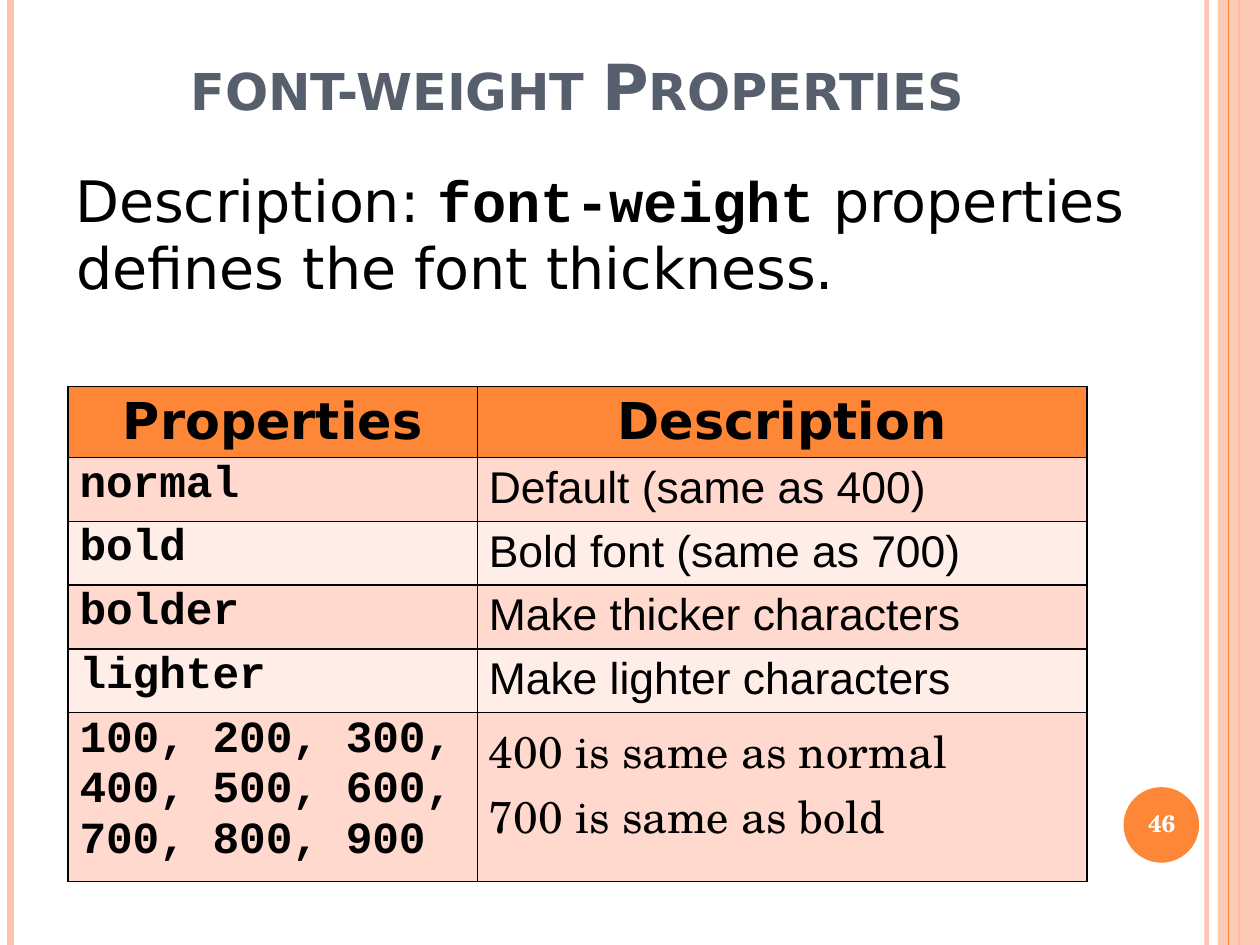
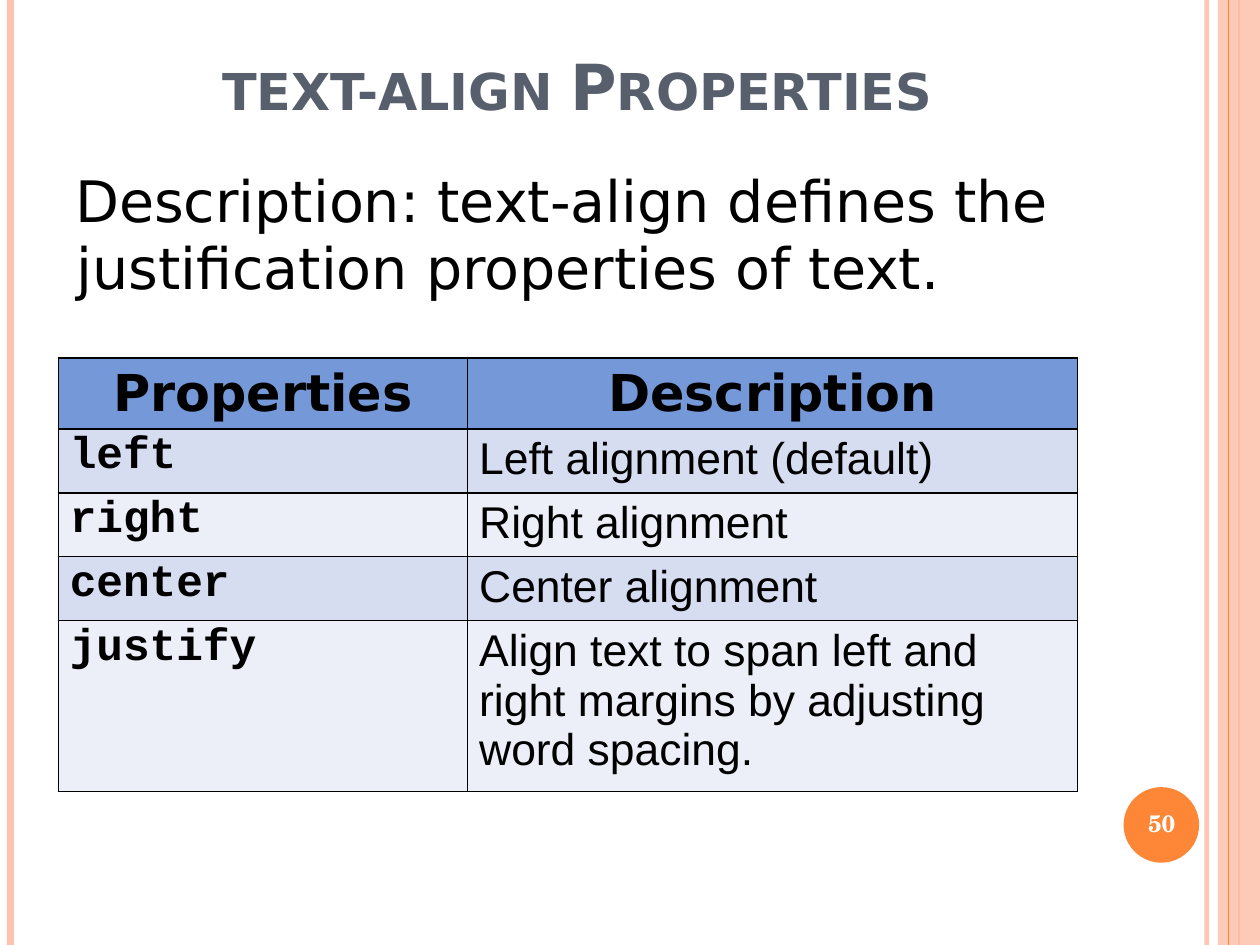
from lxml import etree
from pptx import Presentation
from pptx.dml.color import RGBColor
from pptx.enum.shapes import MSO_CONNECTOR, MSO_SHAPE
from pptx.enum.text import MSO_ANCHOR, PP_ALIGN
from pptx.oxml.ns import qn
from pptx.util import Pt

STRAIGHT = MSO_CONNECTOR.STRAIGHT
RECTANGLE, OVAL = MSO_SHAPE.RECTANGLE, MSO_SHAPE.OVAL
TOP, MIDDLE, BOTTOM = MSO_ANCHOR.TOP, MSO_ANCHOR.MIDDLE, MSO_ANCHOR.BOTTOM
LEFT, CENTER = PP_ALIGN.LEFT, PP_ALIGN.CENTER

ORANGE = RGBColor(0xFE, 0x86, 0x37)
PEACH = RGBColor(0xFE, 0xC3, 0xAE)
SLATE = RGBColor(0x57, 0x5F, 0x6D)
BLACK = RGBColor(0, 0, 0)
WHITE = RGBColor(0xFF, 0xFF, 0xFF)
# Header, odd row, even row
ORANGE_ROWS = (ORANGE, RGBColor(0xFF, 0xD9, 0xCE), RGBColor(0xFF, 0xED, 0xE8))
BLUE_ROWS = (RGBColor(0x75, 0x98, 0xD9), RGBColor(0xD6, 0xDD, 0xF1),
             RGBColor(0xEC, 0xEF, 0xF8))

SANS, MONO, ARIAL, SERIF = "DejaVu Sans", "Courier New", "Arial", "TeX Gyre Schola"

WIDTH, HEIGHT = 793.75, 595.25
COLUMNS = (257.9, 384)
HEADER_HEIGHT, ROW_HEIGHT = 44.7, 38.9
HEADINGS = ("Properties", "Description")
# Top and bottom cell margins
HEADER_MARGINS, VALUE_MARGINS, DESCRIPTION_MARGINS = (3.6, 2), (1.8, 3.6), (3.6, 3)

# x, width, colour, opacity in percent
LINES_BELOW_BAND = [(760.3, 3, PEACH, 93), (6.5, 4.5, PEACH, 100), (780.5, 1.5, ORANGE, 100)]
LINE_ABOVE_BAND = (774, 0.75, ORANGE, 100)

SLIDES = [
    {
        "title": "font-weight Properties",
        "intro": [("Description: ", SANS, False), ("font-weight", MONO, True),
                  (" properties defines the font thickness.", SANS, False)],
        "number": "46",
        "table_at": (42.9, 243.4),
        "colors": ORANGE_ROWS,
        "last_height": 102.6,
        "rows": [
            ("normal", "Default (same as 400)", ARIAL),
            ("bold", "Bold font (same as 700)", ARIAL),
            ("bolder", "Make thicker characters", ARIAL),
            ("lighter", "Make lighter characters", ARIAL),
            ("100, 200, 300, 400, 500, 600, 700, 800, 900",
             "400 is same as normal\n700 is same as bold", SERIF),
        ],
    },
    {
        "title": "text-align Properties",
        "intro": [("Description: text-align defines the justification properties of text.",
                   SANS, False)],
        "number": "50",
        "table_at": (36.8, 225.6),
        "colors": BLUE_ROWS,
        "last_height": 100.8,
        "rows": [
            ("left", "Left alignment (default)", ARIAL),
            ("right", "Right alignment", ARIAL),
            ("center", "Center alignment", ARIAL),
            ("justify", "Align text to span left and right margins by adjusting word spacing.",
             ARIAL),
        ],
    },
]


def style_font(font, name, size, color, bold):
    font.name, font.size, font.bold = name, Pt(size), bold
    font.color.rgb = color


def set_opacity(fill_owner, percent):
    for color in fill_owner.iter(qn("a:srgbClr")):
        etree.SubElement(color, qn("a:alpha"), val=str(percent * 1000))


def add_rule(page, x, width, color, opacity):
    rule = page.shapes.add_connector(STRAIGHT, Pt(x), 0, Pt(x), Pt(HEIGHT))
    rule.line.width = Pt(width)
    rule.line.color.rgb = color
    properties = rule._element.spPr
    if opacity < 100:
        set_opacity(properties, opacity)
    etree.SubElement(properties, qn("a:effectLst"))


def add_plain_shape(page, kind, x, y, width, height, color):
    shape = page.shapes.add_shape(kind, Pt(x), Pt(y), Pt(width), Pt(height))
    shape.shadow.inherit = False
    shape.fill.solid()
    shape.fill.fore_color.rgb = color
    shape.line.fill.background()
    return shape


def add_text(page, place, spans, size, color, anchor, align, margins, spacing=1.0):
    """Adds one paragraph; each span is (text, font name, bold)."""
    box = page.shapes.add_textbox(*map(Pt, place))
    frame = box.text_frame
    frame.word_wrap = True
    frame.vertical_anchor = anchor
    frame.margin_left = frame.margin_right = Pt(7.7)
    frame.margin_top, frame.margin_bottom = map(Pt, margins)
    para = frame.paragraphs[0]
    para.alignment, para.line_spacing = align, spacing
    for text, name, bold in spans:
        span = para.add_run()
        span.text = text
        style_font(span.font, name, size, color, bold)
    return para


def add_decoration(page):
    for rule in LINES_BELOW_BAND:
        add_rule(page, *rule)
    band = add_plain_shape(page, RECTANGLE, 767.2, 0, WIDTH - 767.2, HEIGHT, PEACH)
    set_opacity(band._element.spPr, 87)
    add_rule(page, *LINE_ABOVE_BAND)
    add_plain_shape(page, OVAL, 707.8, 495.8, 47.6, 47.6, ORANGE)


def add_borders(cell):
    properties = cell._tc.get_or_add_tcPr()
    for index, side in enumerate(("lnL", "lnR", "lnT", "lnB")):
        border = etree.Element(qn(f"a:{side}"), w=str(Pt(1)))
        fill = etree.SubElement(border, qn("a:solidFill"))
        etree.SubElement(fill, qn("a:srgbClr"), val=str(BLACK))
        properties.insert(index, border)


def fill_cell(cell, text, color, name, size, bold, align, margins):
    cell.fill.solid()
    cell.fill.fore_color.rgb = color
    cell.margin_top, cell.margin_bottom = map(Pt, margins)
    add_borders(cell)
    cell.text_frame.text = text
    for para in cell.text_frame.paragraphs:
        para.alignment = align
        for span in para.runs:
            style_font(span.font, name, size, BLACK, bold)


def add_property_table(page, content):
    rows, (header_color, *stripes) = content["rows"], content["colors"]
    heights = [HEADER_HEIGHT] + [ROW_HEIGHT] * (len(rows) - 1) + [content["last_height"]]
    x, y = content["table_at"]
    table = page.shapes.add_table(len(heights), len(COLUMNS), Pt(x), Pt(y),
                                  Pt(sum(COLUMNS)), Pt(sum(heights))).table
    for column, width in zip(table.columns, COLUMNS):
        column.width = Pt(width)
    for row, height in zip(table.rows, heights):
        row.height = Pt(height)
    for index, heading in enumerate(HEADINGS):
        fill_cell(table.cell(0, index), heading, header_color,
                  SANS, 32, True, CENTER, HEADER_MARGINS)
    for index, (value, description, font_name) in enumerate(rows):
        stripe = stripes[index % 2]
        fill_cell(table.cell(index + 1, 0), value, stripe,
                  MONO, 28, True, LEFT, VALUE_MARGINS)
        fill_cell(table.cell(index + 1, 1), description, stripe,
                  font_name, 28, False, LEFT, DESCRIPTION_MARGINS)


def add_page(deck, content):
    page = deck.slides.add_slide(deck.slide_layouts[6])
    page.background.fill.solid()
    page.background.fill.fore_color.rgb = WHITE
    add_decoration(page)
    title = add_text(page, (39.6, 23.8, 648, 57.6), [(content["title"], SANS, True)],
                     40, SLATE, BOTTOM, CENTER, (3, 4))
    title.runs[0].font._element.set("cap", "small")
    intro = add_text(page, (39.6, 105.8, 705, 456.5), content["intro"],
                     36, BLACK, TOP, LEFT, (1, 4), 0.97)
    hanging = Pt(0.8)
    intro._p.get_or_add_pPr().set("marL", str(hanging))
    intro._p.get_or_add_pPr().set("indent", str(-hanging))
    add_text(page, (705.6, 497, 52.5, 45.4), [(content["number"], SERIF, True)],
             15, WHITE, MIDDLE, CENTER, (4, 4), 0.93)
    add_property_table(page, content)


def main():
    deck = Presentation()
    deck.slide_width, deck.slide_height = Pt(WIDTH), Pt(HEIGHT)
    for content in SLIDES:
        add_page(deck, content)
    deck.save("out.pptx")


if __name__ == "__main__":
    main()
